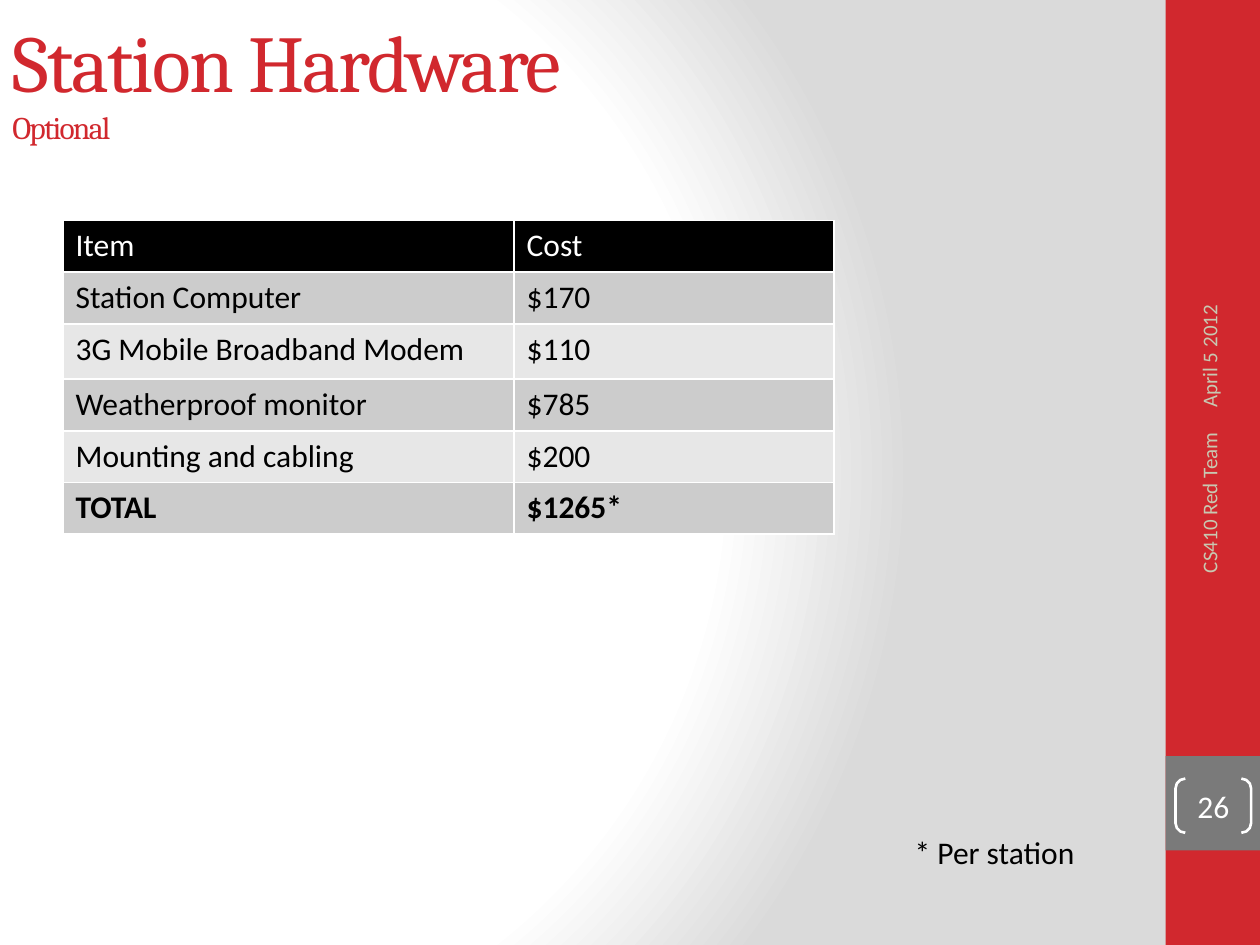
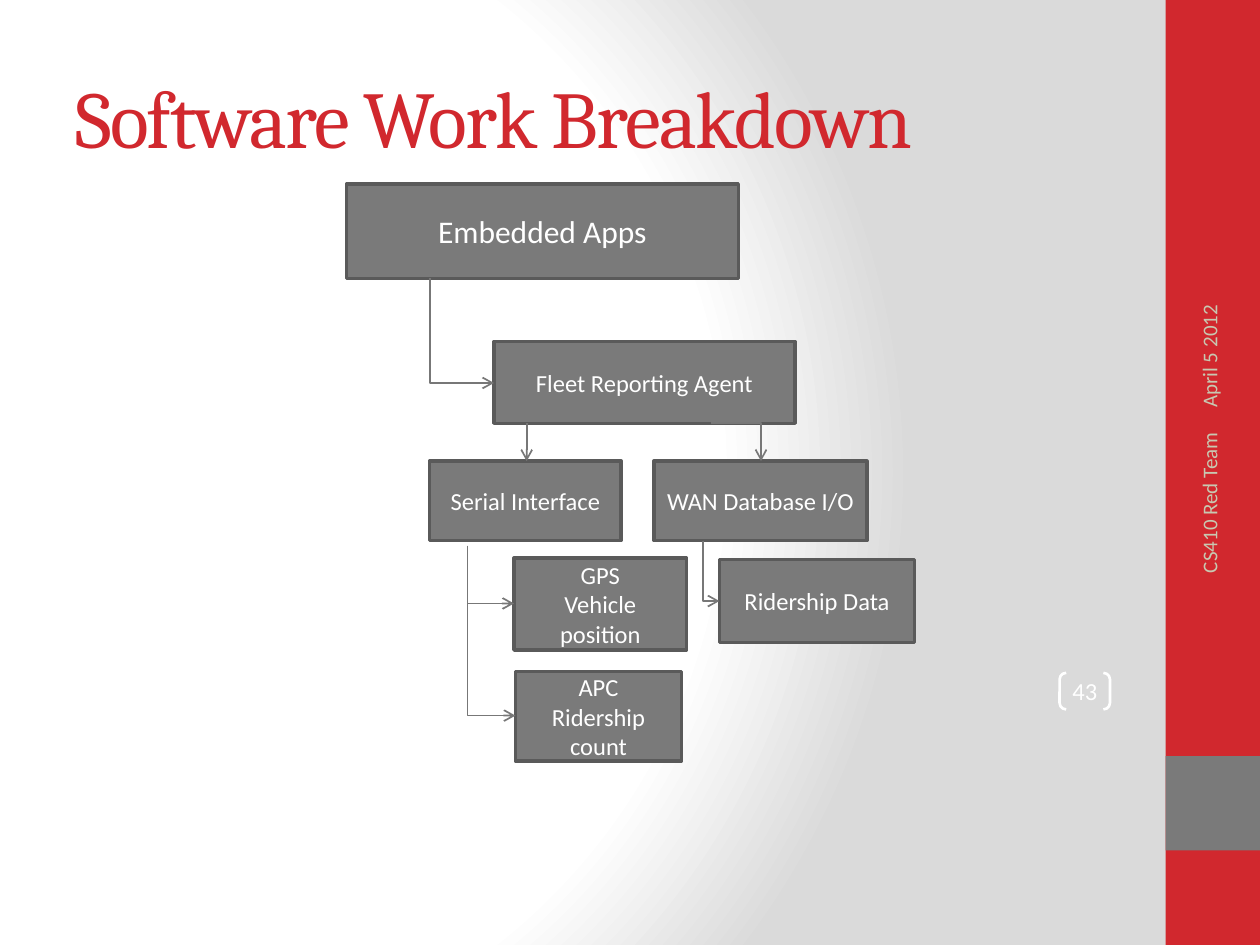
from lxml.etree import SubElement
from pptx import Presentation
from pptx.dml.color import RGBColor
from pptx.enum.shapes import MSO_CONNECTOR as LINK, MSO_SHAPE as SHAPE
from pptx.enum.text import MSO_ANCHOR as ANCHOR, PP_ALIGN as ALIGN
from pptx.oxml import parse_xml
from pptx.oxml.ns import nsdecls, qn
from pptx.util import Inches, Pt

RED = RGBColor(0xD1, 0x28, 0x2E)
GRAY = RGBColor(0x7A, 0x7A, 0x7A)
EDGE = RGBColor(0x5A, 0x5A, 0x5A)
WIRE = RGBColor(0x77, 0x77, 0x77)
SAND = RGBColor(0xC8, 0xC8, 0xB1)
WHITE = RGBColor(0xFF, 0xFF, 0xFF)
BLACK = RGBColor(0, 0, 0)
DARK = RGBColor(0xCC, 0xCC, 0xCC)
LIGHT = RGBColor(0xE7, 0xE7, 0xE7)
FADE = RGBColor(0xDA, 0xDA, 0xDA)
BODY = "Calibri"
HEAD = "Cambria"

COSTS = [
    ("Item", "Cost"),
    ("Station Computer", "$170"),
    ("3G Mobile Broadband Modem", "$110"),
    ("Weatherproof monitor", "$785"),
    ("Mounting and cabling", "$200"),
    ("TOTAL", "$1265*"),
]
UNITS = [
    ("Embedded Apps", 2.75, 1.46, 3.11, 0.75, 18),
    ("Fleet Reporting Agent", 3.92, 2.71, 2.39, 0.65, 14),
    ("WAN Database I/O", 5.19, 3.66, 1.69, 0.63, 14),
    ("Serial Interface", 3.41, 3.66, 1.52, 0.63, 14),
    ("GPS\nVehicle position", 4.08, 4.43, 1.37, 0.73, 14),
    ("APC\nRidership count", 4.09, 5.33, 1.32, 0.71, 14),
    ("Ridership Data", 5.71, 4.44, 1.55, 0.66, 14),
]
DROPS = [
    (3.71, 4.33, 4.09, 5.68),
    (3.71, 4.33, 4.08, 4.79),
    (5.58, 4.29, 5.71, 4.77),
    (3.41, 2.21, 3.92, 3.04),
]


def write(frame, text, size, color, font=BODY, align=ALIGN.LEFT, bold=False):
    frame.text = text
    for para in frame.paragraphs:
        para.alignment = align
        for run in para.runs:
            run.font.size = Pt(size)
            run.font.name = font
            run.font.bold = bold
            run.font.color.rgb = color


def add_text(slide, text, x, y, w, h, size, color, turn=0, anchor=ANCHOR.MIDDLE, **style):
    box = slide.shapes.add_textbox(*map(Inches, (x, y, w, h)))
    box.rotation = turn
    frame = box.text_frame
    frame.word_wrap = True
    frame.vertical_anchor = anchor
    write(frame, text, size, color, **style)
    return frame


def add_form(slide, kind, x, y, w, h, fill=None, line=None, weight=1):
    form = slide.shapes.add_shape(kind, *map(Inches, (x, y, w, h)))
    form.shadow.inherit = False
    if fill is None:
        form.fill.background()
    else:
        form.fill.solid()
        form.fill.fore_color.rgb = fill
    if line is None:
        form.line.fill.background()
    else:
        form.line.color.rgb = line
        form.line.width = Pt(weight)
    form.text_frame.word_wrap = True
    form.text_frame.vertical_anchor = ANCHOR.MIDDLE
    return form


def add_title(slide, text, x, y):
    frame = add_text(slide, text, x, y, 8.33, 1.25, 46, RED, font=HEAD)
    runs = frame.paragraphs[0].runs
    for run in runs:
        run._r.get_or_add_rPr().set("spc", "-100")
    for run in runs[1:]:
        run.font.size = Pt(18)


def add_page(slide, number, x, y, w, h, size):
    form = add_form(slide, SHAPE.DOUBLE_BRACKET, x, y, w, h, line=WHITE, weight=1.5)
    form.adjustments[0] = 0.18
    frame = form.text_frame
    frame.margin_left = frame.margin_right = frame.margin_top = frame.margin_bottom = 0
    write(frame, number, size, WHITE, align=ALIGN.CENTER)


def add_base(deck):
    slide = deck.slides.add_slide(deck.slide_layouts[6])
    slide.background.fill.gradient()
    old = slide.element.find(".//" + qn("a:gradFill"))
    stops = "".join(
        f'<a:gs pos="{pos}000"><a:srgbClr val="{color}"/></a:gs>'
        for pos, color in ((0, WHITE), (75, WHITE), (100, FADE))
    )
    new = parse_xml(
        f'<a:gradFill {nsdecls("a")} rotWithShape="1"><a:gsLst>{stops}</a:gsLst>'
        '<a:path path="circle"><a:fillToRect l="20000" t="50000" r="100000" b="50000"/>'
        "</a:path></a:gradFill>"
    )
    old.getparent().replace(old, new)
    add_form(slide, SHAPE.RECTANGLE, 9.25, 0, 0.75, 7.5, RED)
    add_form(slide, SHAPE.RECTANGLE, 9.25, 6, 0.75, 0.75, GRAY)
    add_text(slide, "April 5 2012", 8.26, 1.8, 2.67, 0.4, 12, SAND, turn=270)
    add_text(slide, "CS410 Red Team", 8.3, 4.43, 2.59, 0.4, 12, SAND, turn=270, align=ALIGN.RIGHT)
    return slide


def edge_cell(cell):
    props = cell._tc.get_or_add_tcPr()
    for side in "LRTB":
        line = SubElement(props, qn(f"a:ln{side}"), w=str(Pt(1)))
        fill = SubElement(line, qn("a:solidFill"))
        SubElement(fill, qn("a:srgbClr"), val=str(WHITE))


def add_costs(slide):
    size = map(Inches, (0.5, 1.75, 6.12, 2.49))
    table = slide.shapes.add_table(len(COSTS), 2, *size).table
    for col, width in zip(table.columns, (3.58, 2.54)):
        col.width = Inches(width)
    for i, row in enumerate(COSTS):
        table.rows[i].height = Inches(0.44 if i == 2 else 0.41)
        head = i == 0
        shade = BLACK if head else DARK if i % 2 else LIGHT
        for j, text in enumerate(row):
            cell = table.cell(i, j)
            edge_cell(cell)
            cell.fill.solid()
            cell.fill.fore_color.rgb = shade
            write(cell.text_frame, text, 18, WHITE if head else BLACK, bold=row[0] == "TOTAL")


def add_arrow(slide, kind, x1, y1, x2, y2):
    arrow = slide.shapes.add_connector(kind, *map(Inches, (x1, y1, x2, y2)))
    arrow.line.color.rgb = WIRE
    arrow.line.width = Pt(1)
    props = arrow.element.spPr
    SubElement(props.find(qn("a:ln")), qn("a:tailEnd"), type="arrow")
    SubElement(props, qn("a:effectLst"))
    if kind == LINK.ELBOW:
        props.find(qn("a:prstGeom")).set("prst", "bentConnector2")
    return arrow


def add_drop(slide, x1, y1, x2, y2):
    mid_x, mid_y = (x1 + x2) / 2, (y1 + y2) / 2
    dx, dy = (x2 - x1) / 2, (y2 - y1) / 2
    arrow = add_arrow(slide, LINK.ELBOW, mid_x + dy, mid_y - dx, mid_x - dy, mid_y + dx)
    arrow.element.spPr.find(qn("a:xfrm")).set("rot", str(270 * 60000))


def add_unit(slide, text, x, y, w, h, size):
    form = add_form(slide, SHAPE.RECTANGLE, x, y, w, h, GRAY, EDGE, 2)
    write(form.text_frame, text, size, WHITE, align=ALIGN.CENTER)


def draw_costs(deck):
    slide = add_base(deck)
    add_page(slide, "26", 9.33, 6.18, 0.6, 0.43, 18)
    add_costs(slide)
    add_text(slide, "* Per station", 7.16, 6.56, 1.58, 0.42, 18, BLACK, anchor=ANCHOR.TOP)
    add_title(slide, "Station Hardware\vOptional", 0, 0)


def draw_units(deck):
    slide = add_base(deck)
    add_title(slide, "Software Work Breakdown", 0.5, 0.3)
    add_page(slide, "43", 8.41, 5.34, 0.4, 0.29, 14)
    for unit in UNITS:
        add_unit(slide, *unit)
    for drop in DROPS:
        add_drop(slide, *drop)
    add_arrow(slide, LINK.STRAIGHT, 4.18, 3.36, 4.18, 3.66)
    add_arrow(slide, LINK.ELBOW, 5.64, 3.36, 6.04, 3.66)


def main():
    deck = Presentation()
    deck.slide_width, deck.slide_height = Inches(10), Inches(7.5)
    draw_costs(deck)
    draw_units(deck)
    deck.save("out.pptx")


if __name__ == "__main__":
    main()
